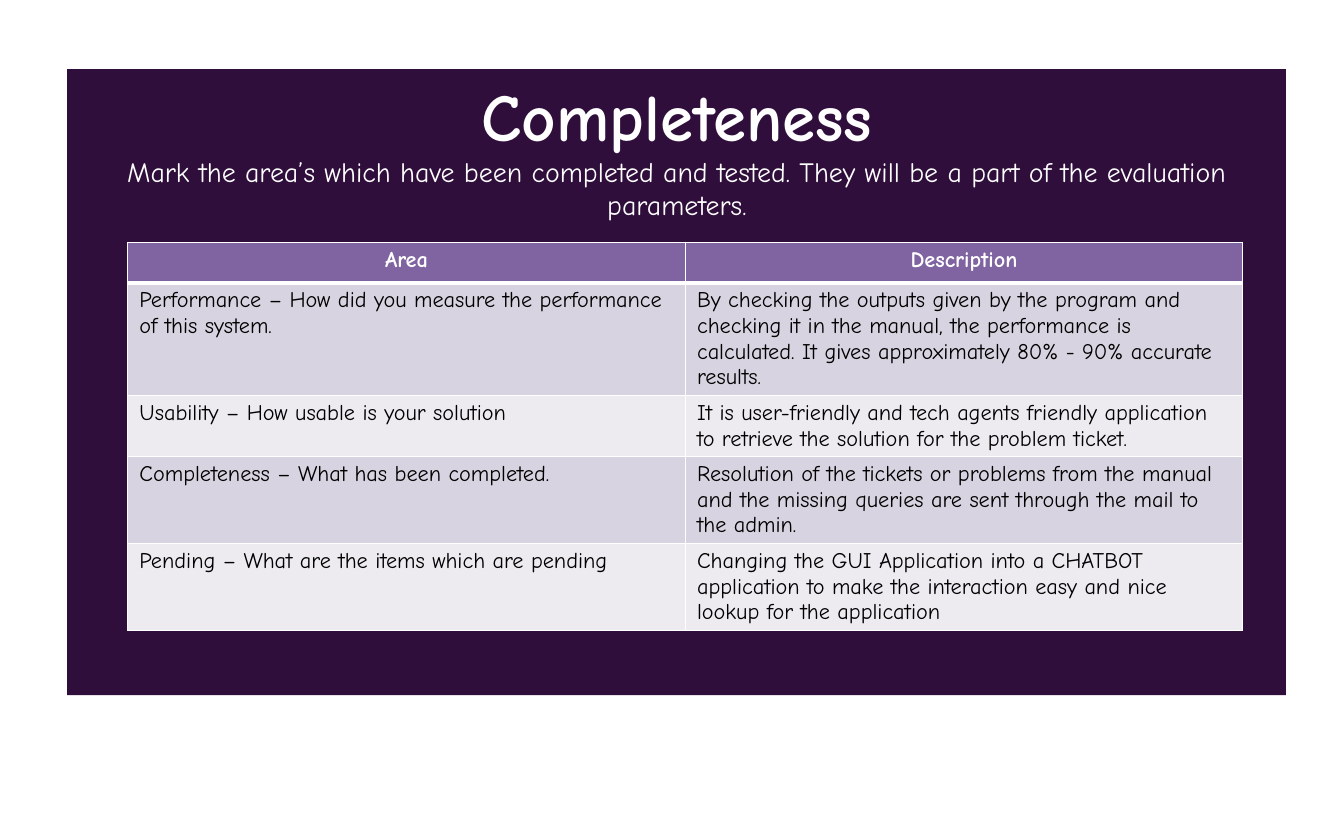
"""Build the Completeness slide: a heading with instructions above a review table."""
from dataclasses import dataclass

from lxml import etree
from pptx import Presentation
from pptx.dml.color import RGBColor
from pptx.enum.shapes import MSO_SHAPE
from pptx.enum.text import MSO_ANCHOR, MSO_AUTO_SIZE, PP_ALIGN
from pptx.oxml.ns import qn
from pptx.util import Cm, Pt

RECTANGLE = MSO_SHAPE.RECTANGLE
TOP = MSO_ANCHOR.TOP
FIXED = MSO_AUTO_SIZE.NONE
LEFT, CENTER = PP_ALIGN.LEFT, PP_ALIGN.CENTER
TITLE_ONLY = 5

HEADING = "Completeness"
INSTRUCTION = ("Mark the area’s which have been completed and tested. "
               "They will be a part of the evaluation parameters.")
REVIEW = [
    ("Area", "Description"),
    ("Performance – How did you measure the performance of this system.",
     "By checking the outputs given by the program and checking it in the manual, "
     "the performance is calculated. It gives approximately 80% - 90% accurate results."),
    ("Usability – How usable is your solution",
     "It is user-friendly and tech agents friendly application to retrieve "
     "the solution for the problem ticket."),
    ("Completeness – What has been completed.",
     "Resolution of the tickets or problems from the manual and the missing "
     "queries are sent through the mail to the admin."),
    ("Pending – What are the items which are pending",
     "Changing the GUI Application into a CHATBOT application to make "
     "the interaction easy and nice lookup for the application"),
]


@dataclass(frozen=True)
class Theme:
    font: str = "Comic Neue"
    panel: str = "2F0E3C"
    header: str = "8064A2"
    bands: tuple = ("EDEAF0", "D8D3E0")
    light: str = "FFFFFF"
    dark: str = "000000"
    heading_size: int = 48
    instruction_size: int = 20
    table_size: int = 16
    rule: int = 1
    header_rule: int = 3


THEME = Theme()


def write(paragraph, text, *, size, color, bold=False, align=LEFT):
    paragraph.alignment = align
    run = paragraph.add_run()
    run.text = text
    run.font.name = THEME.font
    run.font.size = Pt(size)
    run.font.bold = bold
    run.font.color.rgb = RGBColor.from_string(color)


def paint(fill, color):
    fill.solid()
    fill.fore_color.rgb = RGBColor.from_string(color)


def rule_cell(cell, **widths):
    properties = cell._tc.get_or_add_tcPr()
    for side in "LRTB":
        width = widths.get(side, THEME.rule)
        edge = etree.SubElement(properties, qn(f"a:ln{side}"), w=str(Pt(width)))
        solid = etree.SubElement(edge, qn("a:solidFill"))
        etree.SubElement(solid, qn("a:srgbClr"), val=THEME.light)


def add_panel(slide):
    panel = slide.shapes.add_shape(RECTANGLE, Cm(1.7), Cm(1.75), Cm(30.84), Cm(15.85))
    panel.shadow.inherit = False
    paint(panel.fill, THEME.panel)
    panel.line.fill.background()
    slide.shapes._spTree.insert(2, panel._element)


def add_heading(slide):
    heading = slide.shapes.title
    heading.left, heading.top = Cm(2.18), Cm(1.75)
    heading.width, heading.height = Cm(29.9), Cm(2.31)
    frame = heading.text_frame
    frame.word_wrap = True
    frame.auto_size = FIXED
    frame.vertical_anchor = TOP
    write(frame.paragraphs[0], HEADING, size=THEME.heading_size,
          color=THEME.light, bold=True, align=CENTER)
    write(frame.add_paragraph(), INSTRUCTION, size=THEME.instruction_size,
          color=THEME.light, align=CENTER)


def add_review(slide):
    row_height = Cm(1.03)
    review = slide.shapes.add_table(len(REVIEW), len(REVIEW[0]), Cm(3.23), Cm(6.13),
                                    Cm(28.22), row_height * len(REVIEW)).table
    for row, texts in enumerate(REVIEW):
        is_header = row == 0
        widths = {0: {"B": THEME.header_rule}, 1: {"T": THEME.header_rule}}.get(row, {})
        for column, text in enumerate(texts):
            cell = review.cell(row, column)
            cell.margin_left = cell.margin_right = Cm(0.3)
            rule_cell(cell, **widths)
            paint(cell.fill, THEME.header if is_header else THEME.bands[row % 2])
            write(cell.text_frame.paragraphs[0], text, size=THEME.table_size,
                  color=THEME.light if is_header else THEME.dark,
                  bold=is_header, align=CENTER if is_header else LEFT)


deck = Presentation()
deck.slide_width, deck.slide_height = Cm(34.01), Cm(21.01)
completeness = deck.slides.add_slide(deck.slide_layouts[TITLE_ONLY])
add_panel(completeness)
add_heading(completeness)
add_review(completeness)
deck.save("out.pptx")
